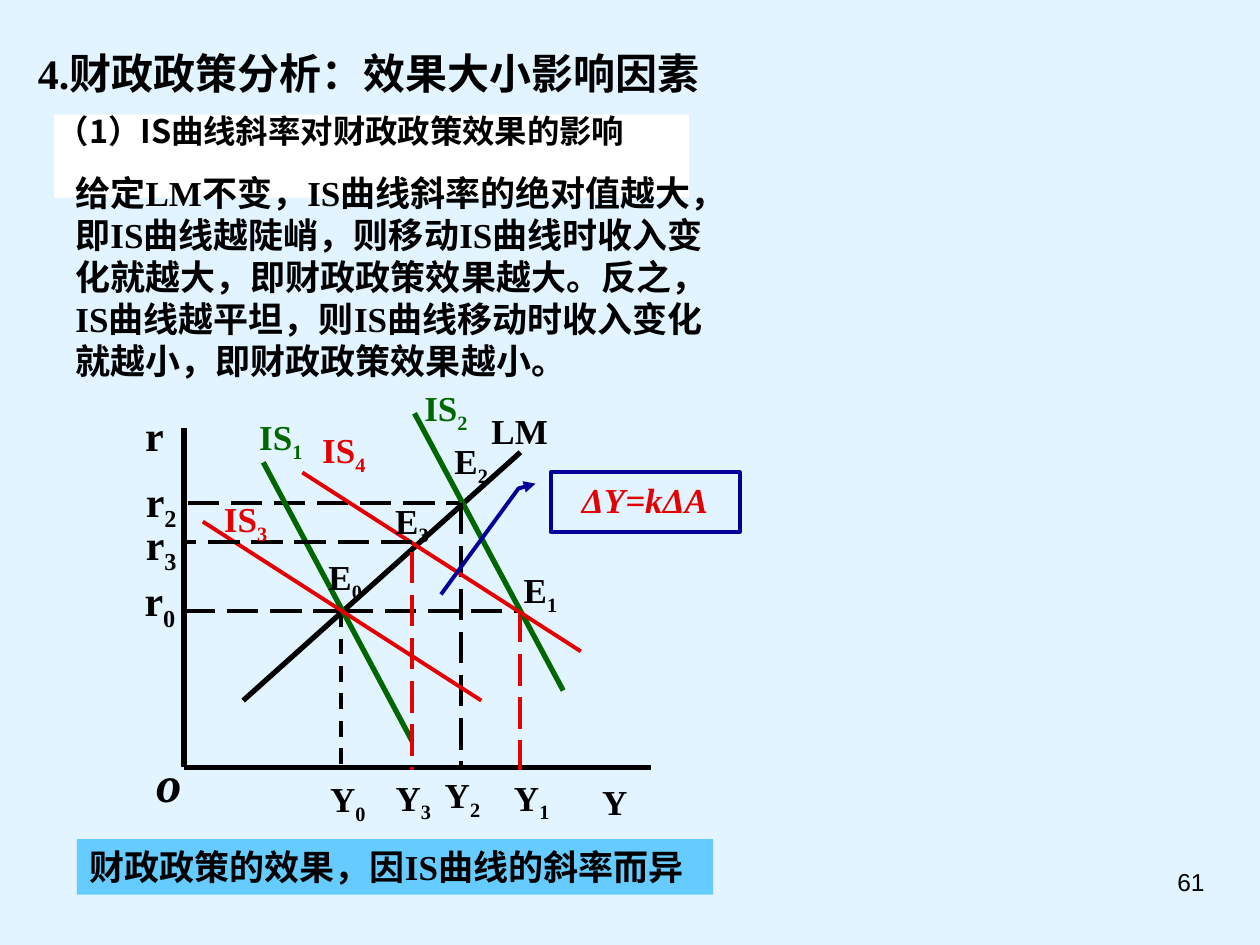
from typing import NamedTuple

import lxml.etree
import pptx
import pptx.dml.color
import pptx.enum.dml
import pptx.enum.shapes
import pptx.enum.text
import pptx.oxml.ns
import pptx.util

EMU_PER_PX = 9144  # 100 px to the inch

BLACK = pptx.dml.color.RGBColor(0x00, 0x00, 0x00)
WHITE = pptx.dml.color.RGBColor(0xFF, 0xFF, 0xFF)
RED = pptx.dml.color.RGBColor(0xE4, 0x00, 0x00)
GREEN = pptx.dml.color.RGBColor(0x00, 0x66, 0x00)
NAVY = pptx.dml.color.RGBColor(0x00, 0x00, 0x99)
SKY = pptx.dml.color.RGBColor(0x66, 0xCC, 0xFF)
PALE_BLUE = pptx.dml.color.RGBColor(0xE1, 0xF4, 0xFF)

SERIF = "Times New Roman"
SANS_CHINESE = "Noto Sans CJK SC"

LEFT = pptx.enum.text.PP_ALIGN.LEFT
CENTER = pptx.enum.text.PP_ALIGN.CENTER
RIGHT = pptx.enum.text.PP_ALIGN.RIGHT
TOP = pptx.enum.text.MSO_ANCHOR.TOP
MIDDLE = pptx.enum.text.MSO_ANCHOR.MIDDLE
DASH = pptx.enum.dml.MSO_LINE.DASH
LONG_DASH = pptx.enum.dml.MSO_LINE.LONG_DASH


class Box(NamedTuple):
    left: int
    top: int
    width: int
    height: int


class Line(NamedTuple):
    start: tuple[int, int]
    end: tuple[int, int]
    color: pptx.dml.color.RGBColor = BLACK
    width: float = 3
    dash: pptx.enum.dml.MSO_LINE | None = None


class Label(NamedTuple):
    text: str
    subscript: str
    box: Box
    color: pptx.dml.color.RGBColor = BLACK
    size: int = 20
    italic: bool = False


# Equilibrium coordinates shared by guides and axes
Y0, Y3, Y2, Y1 = 271, 327, 366, 413
R2, R3, R0 = 399, 430, 485
AXIS_X, AXIS_Y = 146, 609
GUIDE_END = 611

LINES = [
    Line((Y0, R0), (Y1, R0), width=2.25, dash=LONG_DASH),
    Line((193, 556), (413, 359)),
    Line((Y0, R0), (Y0, GUIDE_END), width=2.25, dash=DASH),
    Line((AXIS_X, R0), (Y0, R0), width=2.25, dash=LONG_DASH),
    Line((149, R2), (Y2, R2), width=2.25, dash=LONG_DASH),
    Line((AXIS_X, 340), (AXIS_X, AXIS_Y)),
    Line((AXIS_X, AXIS_Y), (517, AXIS_Y)),
    Line((Y1, R0), (Y1, GUIDE_END), RED, 2.25, LONG_DASH),
    Line((209, 367), (327, 588), GREEN),
    Line((329, 328), (447, 548), GREEN),
    Line((Y2, R2), (Y2, GUIDE_END), width=2.25, dash=LONG_DASH),
    Line((161, 414), (382, 556), RED, 2.25),
    Line((240, 375), (461, 517), RED, 2.25),
    Line((Y3, 438), (Y3, GUIDE_END), RED, 2.25, LONG_DASH),
    Line((Y3, R3), (AXIS_X, R3), width=2.25, dash=LONG_DASH),
]

LABELS = [
    Label("LM", "", Box(380, 320, 65, 44)),
    Label("Y", "0", Box(252, 612, 48, 48)),
    Label("E", "0", Box(251, 436, 46, 48)),
    Label("r", "0", Box(105, 451, 44, 56), size=24),
    Label("r", "2", Box(106, 372, 44, 56), size=24),
    Label("r", "", Box(105, 320, 35, 50), size=24),
    Label("o", "", Box(114, 591, 40, 59), size=29, italic=True),
    Label("Y", "", Box(468, 614, 40, 44)),
    Label("Y", "1", Box(398, 611, 48, 48)),
    Label("E", "1", Box(406, 446, 46, 48)),
    Label("IS", "1", Box(196, 325, 54, 48), GREEN),
    Label("IS", "2", Box(327, 302, 54, 48), GREEN),
    Label("Y", "2", Box(343, 609, 48, 48)),
    Label("E", "2", Box(351, 344, 46, 48)),
    Label("IS", "3", Box(168, 390, 54, 48), RED),
    Label("IS", "4", Box(246, 335, 54, 48), RED),
    Label("Y", "3", Box(304, 611, 48, 48)),
    Label("E", "3", Box(304, 391, 46, 48)),
    Label("r", "3", Box(106, 406, 44, 56), size=24),
]


def px(length: int) -> pptx.util.Emu:
    return pptx.util.Emu(length * EMU_PER_PX)


def place(shape, box: Box) -> None:
    shape.left, shape.top, shape.width, shape.height = map(px, box)


def write(shape, text: str, size: float, *, color=BLACK, font=SERIF, bold=True,
          italic=False, align=LEFT, anchor=TOP, wrap=True, inset=(10, 5)):
    """Fill the shape with one formatted paragraph and return that paragraph."""
    frame = shape.text_frame
    frame.auto_size = pptx.enum.text.MSO_AUTO_SIZE.NONE
    frame.word_wrap = wrap
    frame.vertical_anchor = anchor
    frame.margin_left = frame.margin_right = px(inset[0])
    frame.margin_top = frame.margin_bottom = px(inset[1])
    paragraph = frame.paragraphs[0]
    paragraph.add_run().text = text
    paragraph.alignment = align
    paragraph.space_before = pptx.util.Pt(0)
    properties = paragraph._p.get_or_add_pPr()
    properties.set("indent", "0")
    properties.set("marL", "0")
    lxml.etree.SubElement(properties, pptx.oxml.ns.qn("a:buNone"))
    paragraph.font.name = font
    paragraph.font.size = pptx.util.Pt(size)
    paragraph.font.bold = bold
    paragraph.font.italic = italic
    paragraph.font.color.rgb = color
    return paragraph


def add_rectangle(slide, kind, box: Box, fill):
    shape = slide.shapes.add_shape(kind, *map(px, box))
    shape.shadow.inherit = False
    shape.fill.solid()
    shape.fill.fore_color.rgb = fill
    return shape


def draw_line(slide, line: Line) -> None:
    connector = slide.shapes.add_connector(
        pptx.enum.shapes.MSO_CONNECTOR.STRAIGHT, *map(px, line.start + line.end))
    connector.line.color.rgb = line.color
    connector.line.width = pptx.util.Pt(line.width)
    if line.dash is not None:
        connector.line.dash_style = line.dash
    lxml.etree.SubElement(connector._element.spPr, pptx.oxml.ns.qn("a:effectLst"))


def draw_label(slide, label: Label) -> None:
    shape = slide.shapes.add_textbox(*map(px, label.box))
    paragraph = write(shape, label.text, label.size, color=label.color,
                      italic=label.italic, align=CENTER, anchor=MIDDLE, wrap=False)
    if label.subscript:
        run = paragraph.add_run()
        run.text = label.subscript
        run._r.get_or_add_rPr().set("baseline", "-25000")


def draw_callout(slide) -> None:
    callout = add_rectangle(slide, pptx.enum.shapes.MSO_SHAPE.LINE_CALLOUT_2,
                            Box(437, 375, 150, 47), PALE_BLUE)
    for index, value in enumerate((0.19, -0.08, 0.27, -0.17, 2.06, -0.58)):
        callout.adjustments[index] = value
    callout.line.color.rgb = NAVY
    callout.line.width = pptx.util.Pt(2.25)
    lxml.etree.SubElement(callout.line._get_or_add_ln(),
                          pptx.oxml.ns.qn("a:headEnd"), type="triangle")
    write(callout, "ΔY=kΔA", 20, color=RED, italic=True, align=CENTER)


def main() -> None:
    presentation = pptx.Presentation()
    presentation.slide_width, presentation.slide_height = px(1000), px(750)
    slide = presentation.slides.add_slide(presentation.slide_layouts[1])
    slide.background.fill.solid()
    slide.background.fill.fore_color.rgb = PALE_BLUE

    title, heading = slide.placeholders
    place(title, Box(20, 21, 593, 74))
    write(title, "4.财政政策分析：效果大小影响因素", 24, anchor=MIDDLE)
    place(heading, Box(43, 91, 504, 66))
    heading.fill.solid()
    heading.fill.fore_color.rgb = WHITE
    paragraph = write(heading, "（1）IS曲线斜率对财政政策效果的影响", 18.5,
                      font=SANS_CHINESE, inset=(2, 1))
    paragraph.line_spacing = 0.9

    for line in LINES:
        draw_line(slide, line)
    draw_callout(slide)
    for label in LABELS:
        draw_label(slide, label)

    explanation = slide.shapes.add_textbox(*map(px, Box(50, 131, 521, 177)))
    write(explanation, "给定LM不变，IS曲线斜率的绝对值越大，即IS曲线越陡峭，则移动IS曲线时"
          "收入变化就越大，即财政政策效果越大。反之，IS曲线越平坦，则IS曲线移动时"
          "收入变化就越小，即财政政策效果越小。", 20)

    conclusion = add_rectangle(slide, pptx.enum.shapes.MSO_SHAPE.RECTANGLE,
                               Box(61, 666, 505, 44), SKY)
    conclusion.line.fill.background()
    write(conclusion, "财政政策的效果，因IS曲线的斜率而异", 20, wrap=False)

    page_number = slide.shapes.add_textbox(*map(px, Box(716, 683, 250, 52)))
    write(page_number, "61", 14, font="Arial", bold=False, align=RIGHT)

    presentation.save("out.pptx")


if __name__ == "__main__":
    main()
